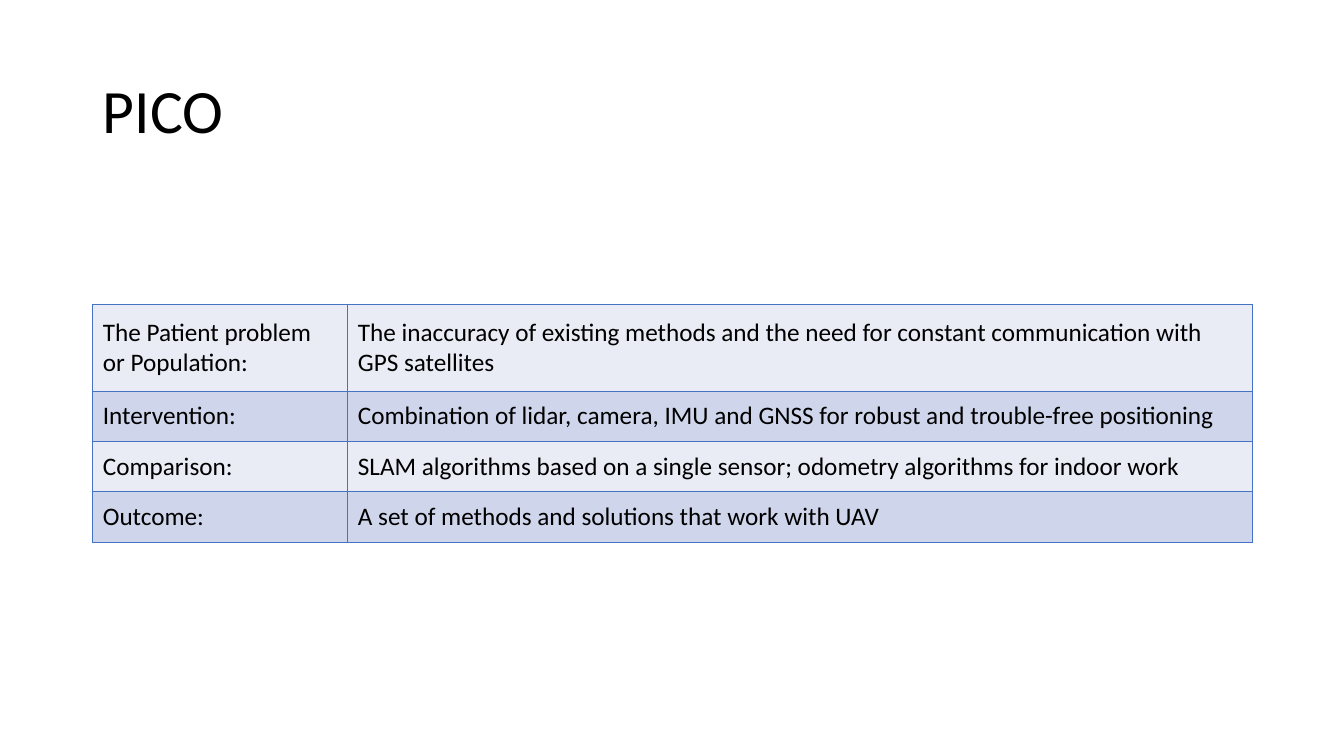
from lxml.etree import SubElement
from pptx import Presentation
from pptx.dml.color import RGBColor
from pptx.enum.text import MSO_ANCHOR, PP_ALIGN
from pptx.oxml.ns import qn
from pptx.util import Inches, Pt

TITLE = "PICO"
ROWS = [
    ("The Patient problem or Population:",
     "The inaccuracy of existing methods and the need for constant communication with GPS satellites"),
    ("Intervention:",
     "Combination of lidar, camera, IMU and GNSS for robust and trouble-free positioning"),
    ("Comparison:",
     "SLAM algorithms based on a single sensor; odometry algorithms for indoor work"),
    ("Outcome:", "A set of methods and solutions that work with UAV"),
]
COLUMN_WIDTHS = [2.53, 8.97]
ROW_HEIGHTS = [0.86, 0.5, 0.5, 0.5]
LEFT, WIDTH = Inches(0.92), Inches(11.5)
BLACK = RGBColor(0x00, 0x00, 0x00)
BORDER = RGBColor(0x44, 0x72, 0xC4)
BANDS = [RGBColor(0xE9, 0xEB, 0xF5), RGBColor(0xCF, 0xD5, 0xEA)]


def write(frame, text, size):
    frame.text = text
    frame.word_wrap = True
    para = frame.paragraphs[0]
    para.alignment = PP_ALIGN.LEFT
    font = para.runs[0].font
    font.name, font.size, font.color.rgb = "Calibri", Pt(size), BLACK
    return para


def add_borders(cell):
    properties = cell._tc.get_or_add_tcPr()
    for side in ("a:lnL", "a:lnR", "a:lnT", "a:lnB"):
        line = SubElement(properties, qn(side), w=str(Pt(1)))
        fill = SubElement(line, qn("a:solidFill"))
        SubElement(fill, qn("a:srgbClr"), val=str(BORDER))


deck = Presentation()
deck.slide_width, deck.slide_height = Inches(13.33), Inches(7.5)
page = deck.slides.add_slide(deck.slide_layouts[5])

title = page.shapes.title
title.left, title.top, title.width, title.height = LEFT, Inches(0.4), WIDTH, Inches(1.45)
write(title.text_frame, TITLE, 44).line_spacing = 0.9
title.text_frame.vertical_anchor = MSO_ANCHOR.MIDDLE

table = page.shapes.add_table(len(ROWS), len(COLUMN_WIDTHS), LEFT, Inches(3.02),
                              WIDTH, Inches(sum(ROW_HEIGHTS))).table
table.first_row = False
for column, width in zip(table.columns, COLUMN_WIDTHS):
    column.width = Inches(width)
for index, (row, height, texts) in enumerate(zip(table.rows, ROW_HEIGHTS, ROWS)):
    row.height = Inches(height)
    for cell, text in zip(row.cells, texts):
        write(cell.text_frame, text, 18)
        cell.vertical_anchor = MSO_ANCHOR.MIDDLE
        add_borders(cell)
        cell.fill.solid()
        cell.fill.fore_color.rgb = BANDS[index % 2]

deck.save("out.pptx")
